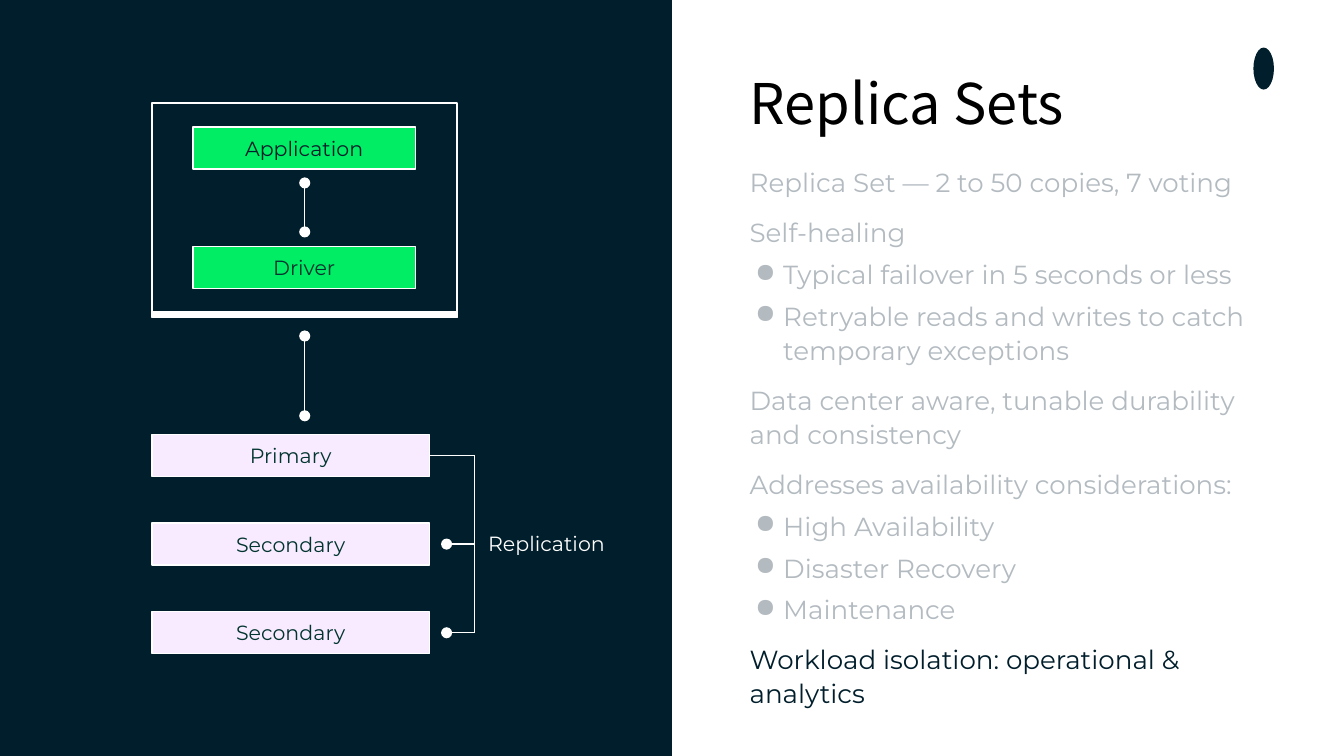
from lxml import etree
from pptx import Presentation
from pptx.dml.color import RGBColor
from pptx.enum import shapes, text
from pptx.oxml.ns import qn
from pptx.util import Pt

NAVY = RGBColor(0x00, 0x1E, 0x2B)
GREEN = RGBColor(0x00, 0xED, 0x64)
PINE = RGBColor(0x02, 0x34, 0x30)
LILAC = RGBColor(0xF9, 0xEB, 0xFF)
GREY = RGBColor(0xB3, 0xBB, 0xC1)
WHITE = RGBColor(0xFF, 0xFF, 0xFF)
BLACK = RGBColor(0x00, 0x00, 0x00)
RECT = shapes.MSO_SHAPE.RECTANGLE
OVAL = shapes.MSO_SHAPE.OVAL

deck = Presentation()
deck.slide_width, deck.slide_height = Pt(720), Pt(405)
slide = deck.slides.add_slide(deck.slide_layouts[6])
parts = slide.shapes


def draw(kind, area, fill=None, edge=None):
    form = parts.add_shape(kind, *[Pt(n) for n in area])
    form.shadow.inherit = False
    if fill is None:
        form.fill.background()
    else:
        form.fill.solid()
        form.fill.fore_color.rgb = fill
    if edge:
        form.line.color.rgb = WHITE
        form.line.width = Pt(edge)
    else:
        form.line.fill.background()
    return form


def write(frame, lines, face, size, pad, grow=True):
    frame.word_wrap = True
    if grow:
        frame.auto_size = text.MSO_AUTO_SIZE.SHAPE_TO_FIT_TEXT
    frame.margin_left = frame.margin_right = Pt(pad[0])
    frame.margin_top = frame.margin_bottom = Pt(pad[1])
    frame.text = "\n".join(words for words, tint in lines)
    for para, (words, tint) in zip(frame.paragraphs, lines):
        for run in para.runs:
            run.font.name = face
            run.font.size = Pt(size)
            run.font.color.rgb = tint


draw(RECT, (0, 0, 360, 405), NAVY)
draw(OVAL, (671.5, 25.5, 11, 22.5), NAVY)

points = [
    ("Replica Set — 2 to 50 copies, 7 voting", False),
    ("Self-healing", False),
    ("Typical failover in 5 seconds or less", True),
    ("Retryable reads and writes to catch temporary exceptions", True),
    ("Data center aware, tunable durability and consistency", False),
    ("Addresses availability considerations:", False),
    ("High Availability", True),
    ("Disaster Recovery", True),
    ("Maintenance", True),
    ("Workload isolation: operational & analytics", False),
]
body = parts.add_textbox(Pt(394.5), Pt(80.5), Pt(300), Pt(308)).text_frame
last = len(points) - 1
lines = [(words, NAVY if i == last else GREY) for i, (words, dot) in enumerate(points)]
write(body, lines, "Montserrat", 14, (7.2, 7.2))
for i, (para, (words, dot)) in enumerate(zip(body.paragraphs, points)):
    para.line_spacing = 1.1
    if i:
        para.space_before = Pt(4 if dot else 8)
    if dot:
        props = para._p.get_or_add_pPr()
        props.set("marL", str(Pt(18)))
        props.set("indent", str(-Pt(15)))
        tint = etree.SubElement(props, qn("a:buClr"))
        etree.SubElement(tint, qn("a:srgbClr"), val=str(GREY))
        etree.SubElement(props, qn("a:buChar"), char="●")
body.paragraphs[last].space_after = Pt(10)

title = parts.add_textbox(Pt(394.5), Pt(29.5), Pt(241), Pt(51)).text_frame
write(title, [("Replica Sets", BLACK)], "Noto Sans CJK JP", 30, (7.2, 7.2))

draw(RECT, (81.5, 55, 163.5, 112), None, 1)
draw(RECT, (81.5, 167, 163.5, 3), WHITE, 0.75)

boxes = [
    ("Application", 103.5, 68, 119, GREEN, NAVY),
    ("Driver", 103.5, 132, 119, GREEN, PINE),
]
for i, name in enumerate(["Primary", "Secondary", "Secondary"]):
    boxes.append((name, 81.5, 232.75 + 47.5 * i, 148.5, LILAC, PINE))
for name, left, top, wide, fill, tint in boxes:
    box = draw(RECT, (left, top, wide, 22.5), fill, 0.75)
    write(box.text_frame, [(name, tint)], "Montserrat", 11, (4.5, 2.25), False)
    box.text_frame.vertical_anchor = text.MSO_ANCHOR.MIDDLE
    box.text_frame.paragraphs[0].alignment = text.PP_ALIGN.CENTER

label = parts.add_textbox(Pt(261.5), Pt(284.5), Pt(65), Pt(13.5)).text_frame
write(label, [("Replication", WHITE)], "Montserrat", 11, (0, 0))
label.vertical_anchor = text.MSO_ANCHOR.MIDDLE

links = [
    (163.25, 98, 163.25, 124.25, ["headEnd", "tailEnd"]),
    (163.25, 180, 163.25, 222.75, ["headEnd", "tailEnd"]),
    (230, 244, 254.25, 244, []),
    (254.25, 244, 254.25, 339, []),
    (254.25, 291.5, 239.25, 291.5, ["tailEnd"]),
    (254.25, 339, 239.25, 339, ["tailEnd"]),
]
for *ends, tips in links:
    link = parts.add_connector(shapes.MSO_CONNECTOR.STRAIGHT, *[Pt(n) for n in ends])
    link.line.color.rgb = WHITE
    link.line.width = Pt(0.75)
    stroke = link.line._get_or_add_ln()
    for tip in tips:
        etree.SubElement(stroke, qn("a:" + tip), type="oval")
    etree.SubElement(link._element.spPr, qn("a:effectLst"))

deck.save("out.pptx")
